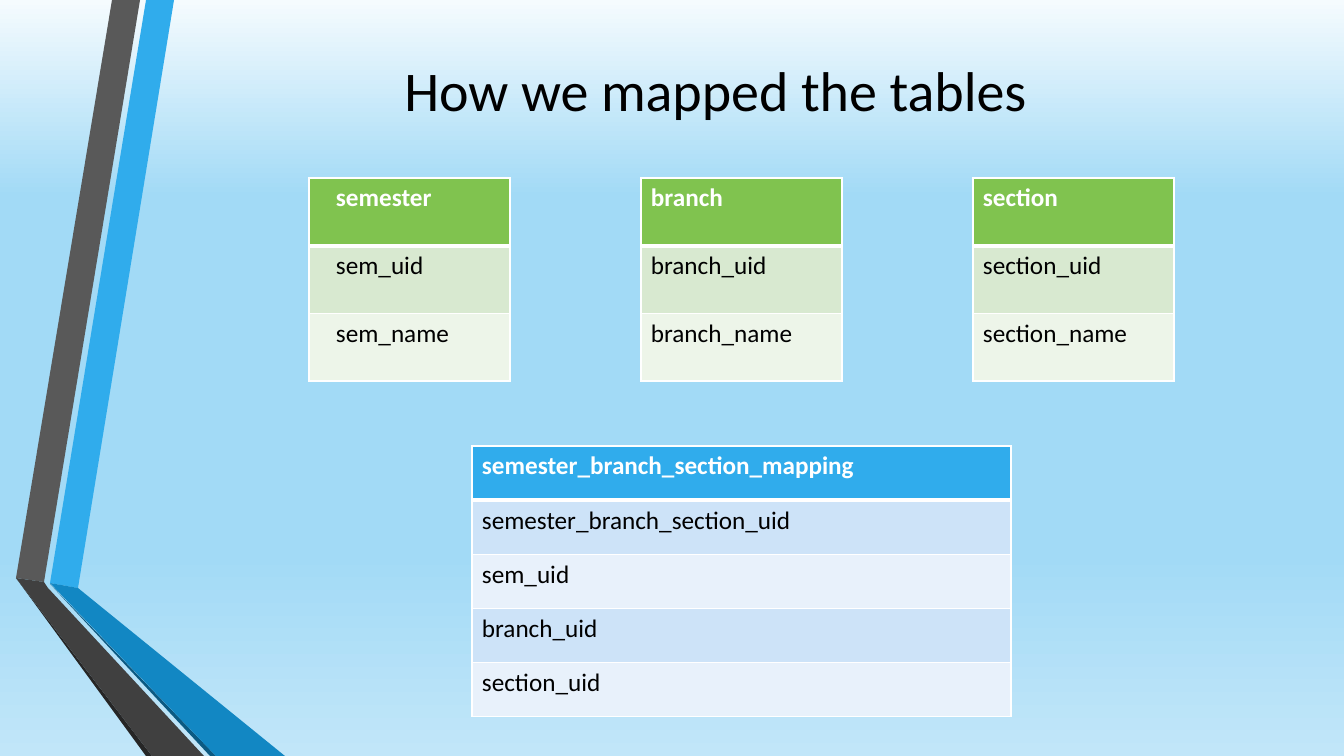
from copy import deepcopy

from lxml import etree
from pptx import Presentation
from pptx.dml.color import RGBColor
from pptx.enum.text import MSO_ANCHOR, PP_ALIGN
from pptx.oxml.ns import qn
from pptx.util import Emu, Pt

CENTER, LEFT = PP_ALIGN.CENTER, PP_ALIGN.LEFT
MIDDLE, TOP = MSO_ANCHOR.MIDDLE, MSO_ANCHOR.TOP
SCALE = 914400 / 100.8
WIDE, HIGH = 1344, 756
TITLE_ONLY = 5


def px(num):
    """Turn pixels into EMU."""
    return Emu(round(num * SCALE))


def color(code):
    """Turn a hex string into a colour."""
    return RGBColor.from_string(code)


def write(frame, text, size=18, ink="000000", bold=False, align=LEFT):
    """Put formatted text into a text frame."""
    para = frame.paragraphs[0]
    para.alignment = align
    run = para.add_run()
    run.text = text
    run.font.name = "Calibri"
    run.font.size = Pt(size)
    run.font.bold = bold
    run.font.color.rgb = color(ink)


def edge(cell, base):
    """Draw white borders on a cell, with its own bottom width in points."""
    props = cell._tc.get_or_add_tcPr()
    widths = {"lnL": 1, "lnR": 1, "lnT": 1, "lnB": base}
    for spot, (tag, width) in enumerate(widths.items()):
        line = etree.Element(qn("a:" + tag), w=str(Pt(width)))
        fill = etree.SubElement(line, qn("a:solidFill"))
        etree.SubElement(fill, qn("a:srgbClr"), val="FFFFFF")
        props.insert(spot, line)


class Deck:
    """Hold the style and the current slide."""

    green = ("80C34F", "D8E9D0", "EDF5E9")
    blue = ("30ACEC", "CDE3F8", "E8F1FB")

    def __init__(self):
        """Start a deck with one title-only slide."""
        self.file = Presentation()
        self.file.slide_width, self.file.slide_height = px(WIDE), px(HIGH)
        layout = self.file.slide_layouts[TITLE_ONLY]
        self.slide = self.file.slides.add_slide(layout)

    def back(self, stops):
        """Fill the background with a gradient from top to bottom."""
        fill = self.slide.background.fill
        fill.gradient()
        fill.gradient_angle = 270
        holder = self.slide.element.xpath(".//a:gsLst")[0]
        while len(holder) < len(stops):
            holder.append(deepcopy(holder[0]))
        for stop, (place, code) in zip(fill.gradient_stops, stops):
            stop.position = place
            stop.color.rgb = color(code)

    def band(self, code, *points):
        """Draw a filled outline through the points."""
        pen = self.slide.shapes.build_freeform(*points[0], scale=SCALE)
        pen.add_line_segments(points[1:], close=True)
        shape = pen.convert_to_shape()
        shape.shadow.inherit = False
        shape.fill.solid()
        shape.fill.fore_color.rgb = color(code)
        shape.line.fill.background()

    def title(self, text, left, top, width, height):
        """Place and fill the title."""
        shape = self.slide.shapes.title
        shape.left, shape.top = px(left), px(top)
        shape.width, shape.height = px(width), px(height)
        frame = shape.text_frame
        frame.word_wrap = True
        frame.vertical_anchor = MIDDLE
        write(frame, text, size=40, align=CENTER)

    def table(self, names, left, top, width, height, fills, inset=10):
        """Draw a one-column table: a header over banded rows."""
        grid = self.slide.shapes.add_table(
            len(names), 1, px(left), px(top), px(width), px(height)).table
        for row, name in enumerate(names):
            head = row == 0
            cell = grid.cell(row, 0)
            cell.margin_left = cell.margin_right = px(inset)
            cell.margin_top = cell.margin_bottom = px(5)
            cell.vertical_anchor = TOP
            cell.fill.solid()
            shade = fills[0] if head else fills[1 + (row - 1) % 2]
            cell.fill.fore_color.rgb = color(shade)
            edge(cell, 3 if head else 1)
            write(cell.text_frame, name, bold=head,
                  ink="FFFFFF" if head else "000000")


deck = Deck()
deck.back([(0, "F5FBFE"), (0.26, "A2DAF6"), (0.73, "A2DAF6"), (1, "C1E6F9")])

deck.band("30ACEC", (50, 583), (78, 588), (174, 0), (146, 0))
deck.band("595959", (140, 0), (112, 0), (16, 578), (44, 582))
deck.band("262626", (16, 578), (146, HIGH), (152, HIGH))
deck.band("0C5A82", (50, 584), (210, HIGH), (216, HIGH))
deck.band("1287C3", (50, 583), (216, HIGH), (285, HIGH), (78, 588))
deck.band("404040", (16, 578), (152, HIGH), (204, HIGH), (48, 588), (44, 582))

deck.title("How we mapped the tables", 163, 0, 1105, 178)

sources = [("semester", "sem", 27), ("branch", "branch", 10),
           ("section", "section", 10)]
for col, (head, stem, inset) in enumerate(sources):
    deck.table([head, stem + "_uid", stem + "_name"],
               309 + 332 * col, 178, 201, 203, deck.green, inset)

mapping = ["semester_branch_section_mapping", "semester_branch_section_uid",
           "sem_uid", "branch_uid", "section_uid"]
deck.table(mapping, 472, 446, 539, 271, deck.blue)

deck.file.save("out.pptx")
